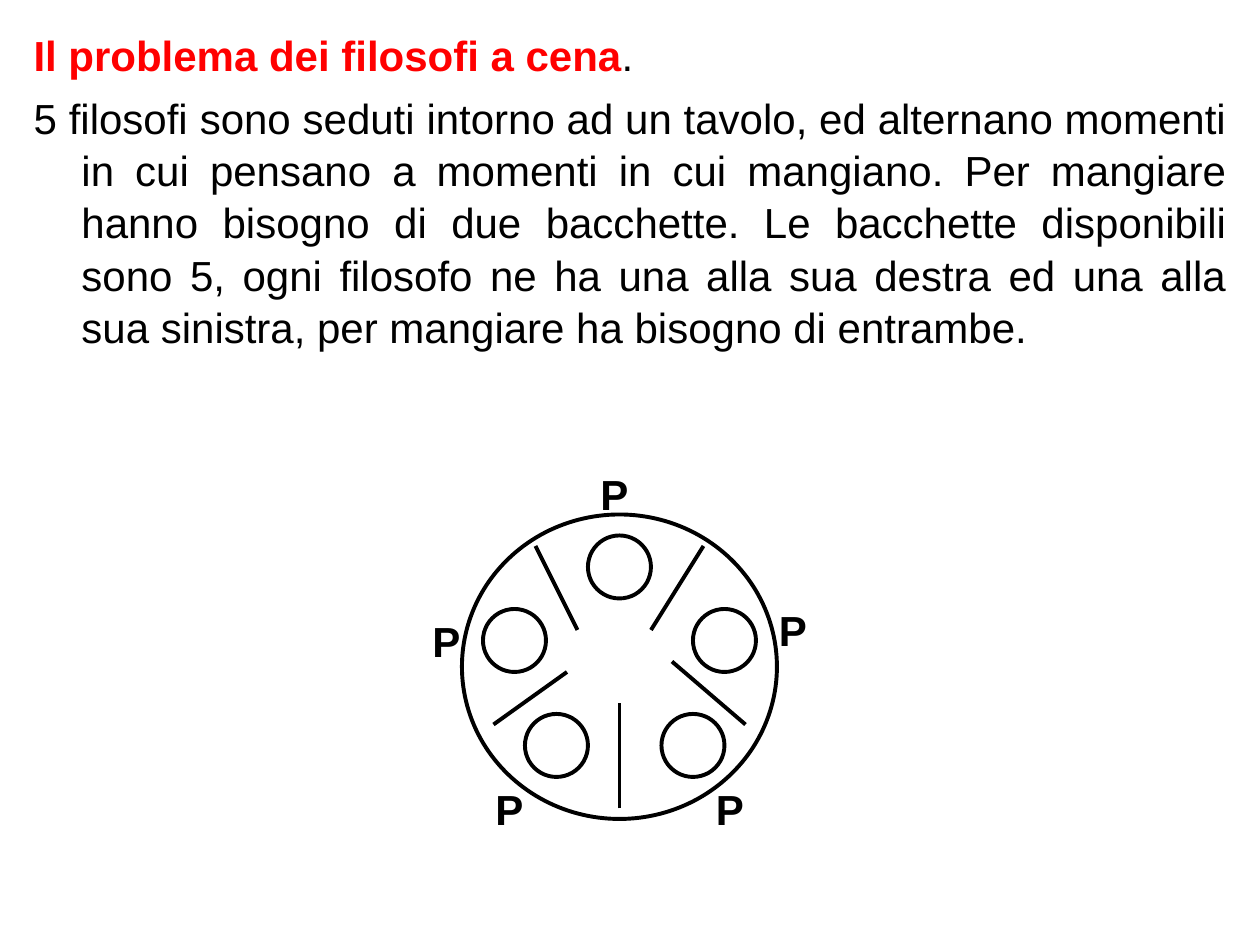
from lxml.etree import SubElement
from pptx import Presentation
from pptx.dml.color import RGBColor
from pptx.enum.shapes import MSO_CONNECTOR, MSO_SHAPE
from pptx.enum.text import MSO_ANCHOR, MSO_AUTO_SIZE, PP_ALIGN
from pptx.oxml.ns import qn
from pptx.util import Inches, Pt

BLACK = RGBColor(0, 0, 0)
WHITE = RGBColor(255, 255, 255)
RED = RGBColor(255, 0, 0)
CELL = Inches(1) // 12
INK = Pt(2.25)
PLATES = [(12, 2), (22, 9), (2, 9), (19, 19), (6, 19)]
STICKS = [(15, 28, 15, 20), (3, 20, 10, 15), (27, 20, 20, 14),
          (11, 11, 7, 3), (18, 11, 23, 3), (15, 26, 15, 18)]
SEATS = [(2, 25), (-4, 9), (29, 8), (23, 25), (12, -5)]
TITLE = "Il problema dei filosofi a cena"
STORY = ("5 filosofi sono seduti intorno ad un tavolo, ed alternano momenti in cui "
         "pensano a momenti in cui mangiano. Per mangiare hanno bisogno di due "
         "bacchette. Le bacchette disponibili sono 5, ogni filosofo ne ha una alla "
         "sua destra ed una alla sua sinistra, per mangiare ha bisogno di entrambe.")


def grid(*cells):
    """Turn grid cells into lengths."""
    return [CELL * cell for cell in cells]


def write(para, text, size=24, color=BLACK, bold=False):
    """Add a formatted run to a paragraph."""
    run = para.add_run()
    run.text = text
    font = run.font
    font.name, font.size, font.bold = "Arial", Pt(size), bold
    font.color.rgb = color


def disc(slide, box):
    """Draw a white ellipse with a black rim."""
    shape = slide.shapes.add_shape(MSO_SHAPE.OVAL, *grid(*box))
    shape.shadow.inherit = False
    shape.fill.solid()
    shape.fill.fore_color.rgb = WHITE
    shape.line.color.rgb = BLACK
    shape.line.width = INK


def stick(slide, ends):
    """Draw one chopstick."""
    line = slide.shapes.add_connector(MSO_CONNECTOR.STRAIGHT, *grid(*ends))
    line.line.color.rgb = BLACK
    line.line.width = INK
    SubElement(line.element.spPr, qn("a:effectLst"))


def seat(slide, box):
    """Label one philosopher's seat."""
    frame = slide.shapes.add_textbox(*grid(*box)).text_frame
    frame.word_wrap = False
    frame.auto_size = MSO_AUTO_SIZE.SHAPE_TO_FIT_TEXT
    para = frame.paragraphs[0]
    para.alignment = PP_ALIGN.CENTER
    write(para, "P", bold=True)


def story(slide, box):
    """Fill the body placeholder with the heading and the problem."""
    body = slide.placeholders[1]
    body.left, body.top, body.width, body.height = grid(*box)
    frame = body.text_frame
    frame.auto_size = MSO_AUTO_SIZE.NONE
    frame.vertical_anchor = MSO_ANCHOR.TOP
    head, text = frame.paragraphs[0], frame.add_paragraph()
    for para in (head, text):
        para.alignment = PP_ALIGN.JUSTIFY
        para.space_before = Pt(6)
        para.line_spacing = 1.04
        props = para._p.get_or_add_pPr()
        props.set("marL", str(Inches(0.38)))
        props.set("indent", str(-Inches(0.38)))
        SubElement(props, qn("a:buNone"))
    write(head, TITLE, color=RED, bold=True)
    write(head, ".")
    write(text, STORY)


def table(slide, box):
    """Draw the round table with its plates, chopsticks and seats."""
    left, top = box[:2]
    disc(slide, box)
    for x, y in PLATES:
        disc(slide, (left + x, top + y, 6, 6))
    for x, y, u, v in STICKS:
        stick(slide, (left + x, top + y, left + u, top + v))
    for x, y in SEATS:
        seat(slide, (left + x, top + y, 5, 6))


def main():
    """Build and save the slide."""
    deck = Presentation()
    deck.slide_width, deck.slide_height = grid(120, 90)
    slide = deck.slides.add_slide(deck.slide_layouts[1])
    title = slide.shapes.title.element
    title.getparent().remove(title)
    story(slide, (2, 2, 116, 86))
    table(slide, (44, 49, 30, 29))
    deck.save("out.pptx")


if __name__ == "__main__":
    main()
